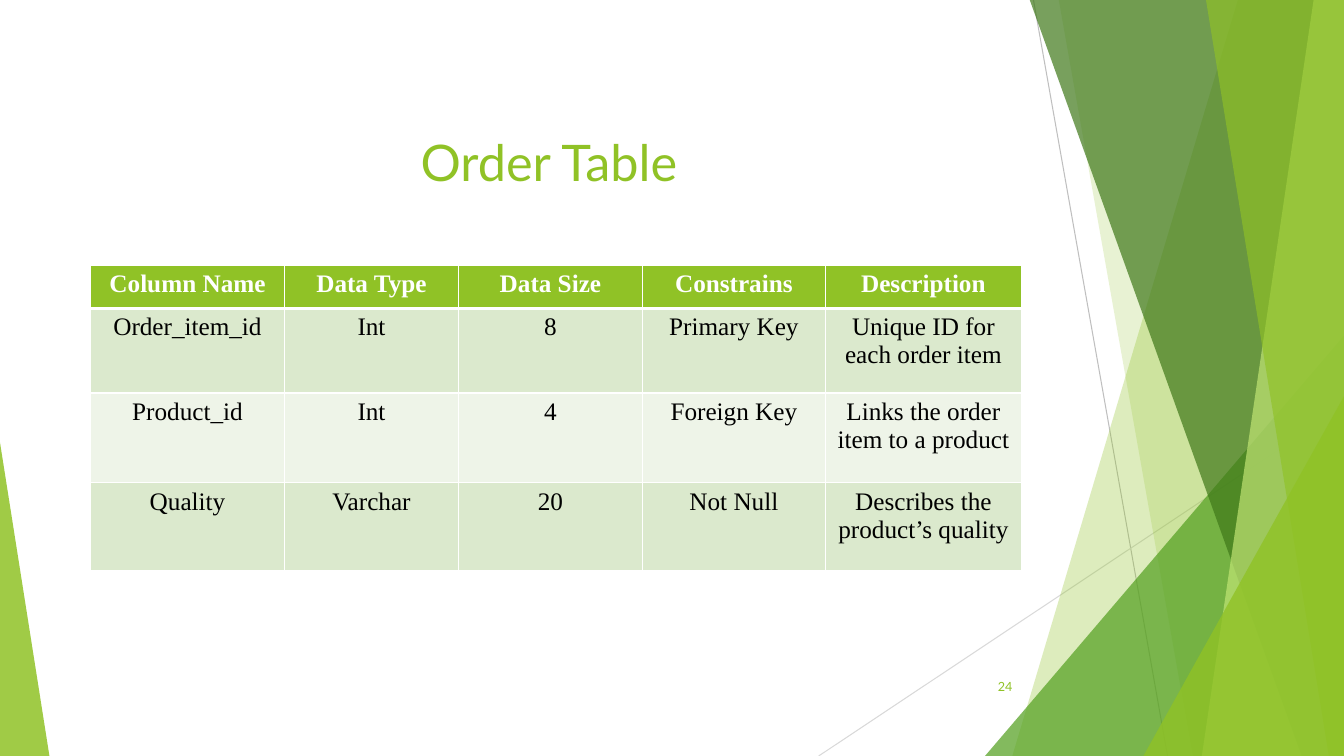
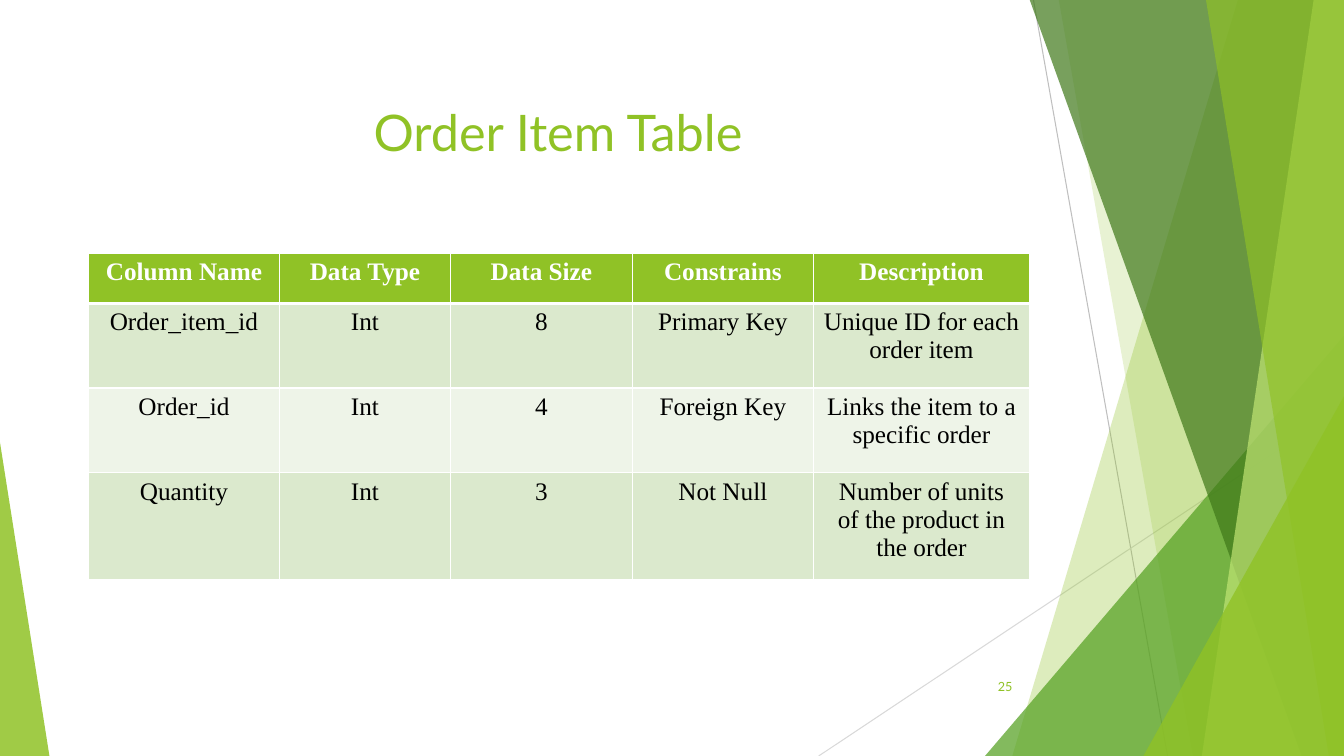
import pptx
import pptx.dml.color
import pptx.enum.shapes
import pptx.enum.text
import pptx.oxml
import pptx.oxml.ns
import pptx.util

PX = 9144
WIDE, HIGH = 1333, 750
RGB = pptx.dml.color.RGBColor
LIME = RGB(0x90, 0xC2, 0x26)
LEAF = RGB(0x54, 0xA0, 0x21)
DARK = RGB(0x3F, 0x78, 0x19)
PALE = RGB(0xC0, 0xE4, 0x74)
MIST = RGB(0xDB, 0xE9, 0xCD)
FOG = RGB(0xEE, 0xF4, 0xE8)
GREY = RGB(0xBF, 0xBF, 0xBF)
SILVER = RGB(0xD9, 0xD9, 0xD9)
WHITE = RGB(0xFF, 0xFF, 0xFF)
BLACK = RGB(0, 0, 0)
SANS, SERIF = "Lato", "Times New Roman"
ALIGN = pptx.enum.text.PP_ALIGN
ANCHOR = pptx.enum.text.MSO_ANCHOR
HEADS = ["Column Name", "Data Type", "Data Size", "Constrains", "Description"]


def px(*nums):
    return [pptx.util.Emu(num * PX) for num in nums]


def add_child(node, tag, **attrs):
    child = pptx.oxml.parse_xml(f"<{tag} {pptx.oxml.ns.nsdecls('a')}/>")
    for key, value in attrs.items():
        child.set(key, str(value))
    node.append(child)
    return child


def paint(shape, color, alpha):
    shape.shadow.inherit = False
    shape.fill.solid()
    shape.fill.fore_color.rgb = color
    shape.line.fill.background()
    tint = shape.element.spPr.find(".//" + pptx.oxml.ns.qn("a:srgbClr"))
    add_child(tint, "a:alpha", val=alpha * 1000)


def add_line(slide, ends, color):
    kind = pptx.enum.shapes.MSO_CONNECTOR.STRAIGHT
    line = slide.shapes.add_connector(kind, *px(*ends))
    line.line.color.rgb = color
    line.line.width = pptx.util.Pt(0.75)
    add_child(line.element.spPr, "a:effectLst")


def add_band(slide, top, foot, color, alpha):
    pen = slide.shapes.build_freeform(top, -1, scale=PX)
    pen.add_line_segments([(WIDE, -1), (WIDE, HIGH), (foot, HIGH)])
    paint(pen.convert_to_shape(), color, alpha)


def add_wedge(slide, left, top, width, peak, color, alpha):
    kind = pptx.enum.shapes.MSO_SHAPE.ISOSCELES_TRIANGLE
    wedge = slide.shapes.add_shape(kind, *px(left, top, width, HIGH - top))
    wedge.adjustments[0] = peak
    paint(wedge, color, alpha)


def add_decor(slide):
    add_line(slide, (1025, 0, 1158, HIGH), GREY)
    add_line(slide, (WIDE, 403, 812, HIGH), SILVER)
    add_band(slide, 1228, 1004, LIME, 30)
    add_band(slide, 1050, 1183, LIME, 20)
    add_wedge(slide, 977, 333, 356, 1, LEAF, 72)
    add_band(slide, 1021, 1291, DARK, 70)
    add_band(slide, 1303, 1192, PALE, 70)
    add_band(slide, 1196, 1318, LIME, 65)
    add_wedge(slide, 1134, 393, 199, 1, LIME, 80)
    add_wedge(slide, 0, 439, 49, 0, LIME, 85)


def style(para, face, size, color, align, bold=False):
    para.alignment = align
    para.font.name = face
    para.font.size = pptx.util.Pt(size)
    para.font.color.rgb = color
    para.font.bold = bold


def add_text(slide, box, text, size, align, anchor):
    frame = slide.shapes.add_textbox(*px(*box)).text_frame
    frame.word_wrap = True
    frame.vertical_anchor = anchor
    frame.text = text
    style(frame.paragraphs[0], SANS, size, LIME, align)


def add_edge(cell, side, width):
    edge = add_child(cell._tc.get_or_add_tcPr(), f"a:ln{side}", w=pptx.util.Pt(width))
    add_child(add_child(edge, "a:solidFill"), "a:srgbClr", val=WHITE)


def fill_cell(cell, text, row):
    head = row == 0
    for side in "LRTB":
        thick = (row, side) in ((0, "B"), (1, "T"))
        add_edge(cell, side, 3 if thick else 1)
    cell.fill.solid()
    cell.fill.fore_color.rgb = LIME if head else MIST if row % 2 else FOG
    cell.text = text
    for para in cell.text_frame.paragraphs:
        style(para, SERIF, 18, WHITE if head else BLACK, ALIGN.CENTER, head)


def add_grid(slide, left, top, cols, rows, data):
    box = px(left, top, sum(cols), sum(rows))
    grid = slide.shapes.add_table(len(rows), len(cols), *box).table
    for col, width in zip(grid.columns, px(*cols)):
        col.width = width
    for row, height in zip(grid.rows, px(*rows)):
        row.height = height
    for row, texts in enumerate([HEADS] + data):
        for col, text in enumerate(texts):
            fill_cell(grid.cell(row, col), text, row)


def add_page(deck, number, title, spot, grid):
    slide = deck.slides.add_slide(deck.slide_layouts[6])
    add_decor(slide)
    add_text(slide, (939, 661, 75, 40), number, 9, ALIGN.RIGHT, ANCHOR.MIDDLE)
    add_text(slide, (*spot, 667, 71), title, 36, ALIGN.CENTER, ANCHOR.TOP)
    add_grid(slide, *grid)


def main():
    deck = pptx.Presentation()
    deck.slide_width, deck.slide_height = px(WIDE, HIGH)
    first = ["Order_item_id", "Int", "8", "Primary Key", "Unique ID for each order item"]
    add_page(deck, "24", "Order Table", (211, 125), (
        90, 263, [192, 173, 182, 182, 194], [43, 84, 89, 87], [
            first,
            ["Product_id", "Int", "4", "Foreign Key", "Links the order item to a product"],
            ["Quality", "Varchar", "20", "Not Null", "Describes the product’s quality"],
        ]))
    add_page(deck, "25", "Order Item Table", (220, 95), (
        88, 251, [189, 170, 180, 180, 214], [50, 84, 84, 106], [
            first,
            ["Order_id", "Int", "4", "Foreign Key", "Links the item to a specific order"],
            ["Quantity", "Int", "3", "Not Null", "Number of units\nof the product in the order"],
        ]))
    deck.save("out.pptx")


if __name__ == "__main__":
    main()
